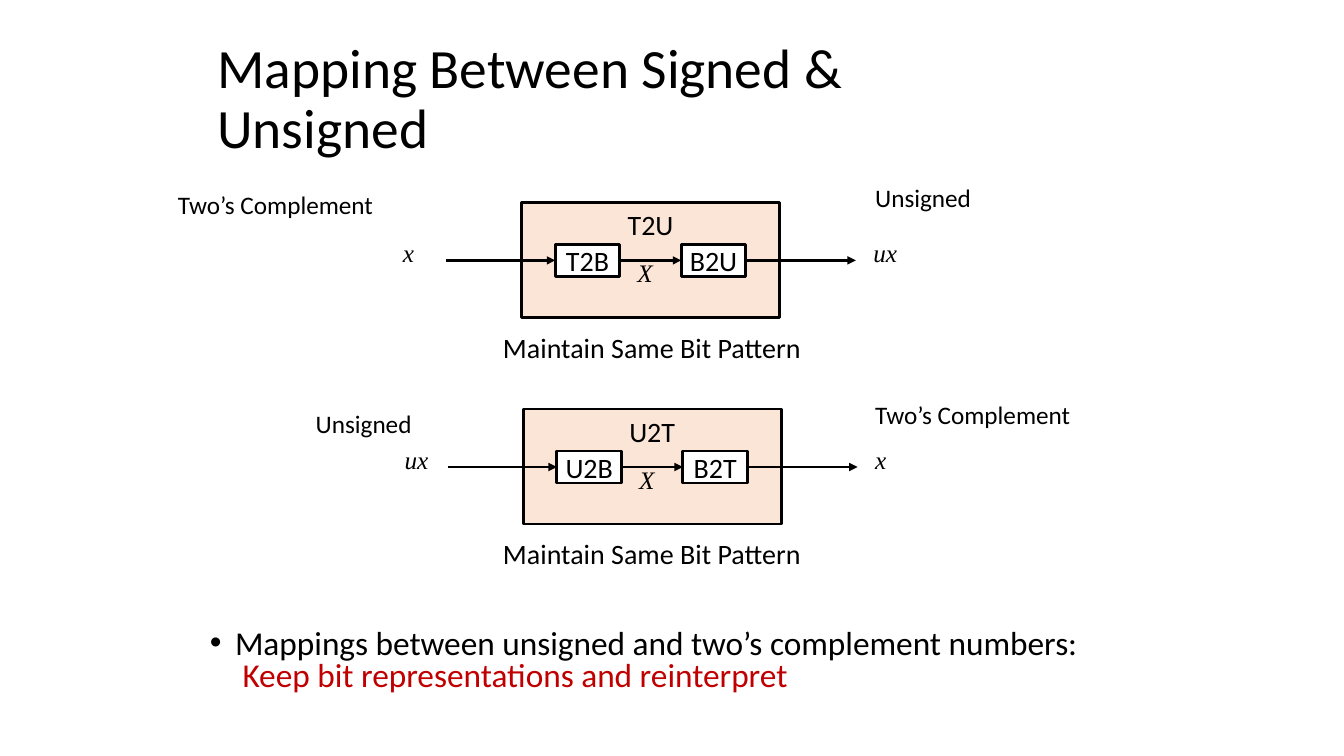
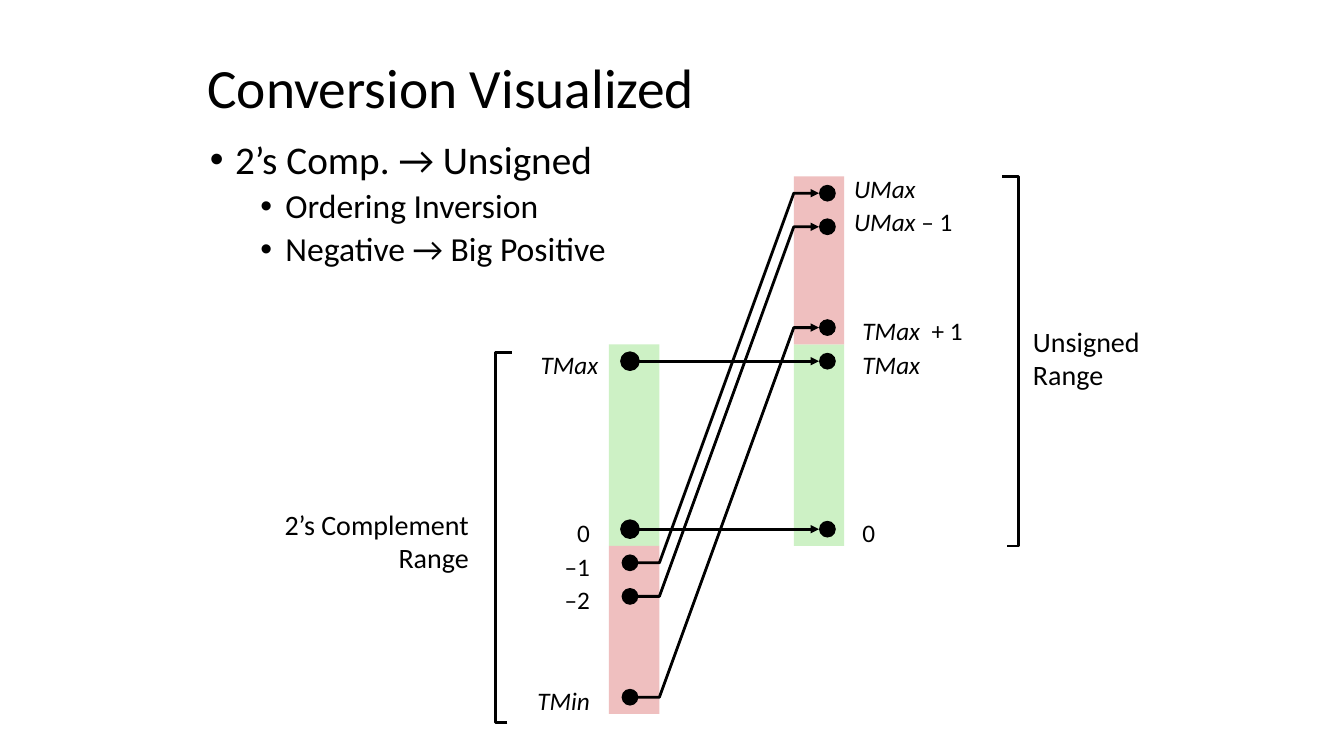
from dataclasses import dataclass

from lxml.etree import SubElement
from pptx import Presentation
from pptx.dml.color import RGBColor
from pptx.enum.shapes import MSO_CONNECTOR, MSO_SHAPE
from pptx.enum.text import MSO_ANCHOR, PP_ALIGN
from pptx.oxml.ns import qn
from pptx.shapes.autoshape import Shape
from pptx.shapes.connector import Connector
from pptx.slide import Slide
from pptx.text.text import TextFrame, _Paragraph
from pptx.util import Emu, Inches, Pt

# Shared grid: 160 columns by 90 rows of square cells
COLUMNS, ROWS = 160, 90
CELL = Inches(7.5) // ROWS

# Shared colours and fonts
BLACK = RGBColor(0x00, 0x00, 0x00)
WHITE = RGBColor(0xFF, 0xFF, 0xFF)
PEACH = RGBColor(0xFB, 0xE5, 0xD6)
GREEN = RGBColor(0xCD, 0xF1, 0xC5)
PINK = RGBColor(0xEF, 0xBF, 0xBF)
RED = RGBColor(0xC0, 0x00, 0x00)
SANS, SERIF = "Calibri", "Times New Roman"
TITLE_SIZE, LARGE, SMALL = 39.6, 20, 18
LINE_WIDTH = Pt(2)
LABEL_HEIGHT = 4.8

Point = tuple[float, float]


@dataclass(frozen=True)
class Area:
    left: float
    top: float
    width: float
    height: float = LABEL_HEIGHT

    def emu(self) -> list[Emu]:
        return [cells(n) for n in (self.left, self.top, self.width, self.height)]


@dataclass(frozen=True)
class Mapping:
    """A conversion diagram; captions are placed on the page grid."""
    left: float
    top: float
    name: str
    first: str
    second: str
    source: str
    result: str
    source_caption: str
    source_at: Point
    result_caption: str
    result_at: Point


@dataclass(frozen=True)
class Mark:
    """A dot on a number bar: step counts down from the top of the scale."""
    step: int
    name: str
    offset: str = ""
    shift_x: float = 0
    shift_y: float = 0
    outlined: bool = False


MAPPINGS = (
    Mapping(62.1, 24.1, "T2U", "T2B", "B2U", "x", "ux",
            "Two’s Complement", (20, 22), "Unsigned", (103, 21.1)),
    Mapping(62.3, 48.7, "U2T", "U2B", "B2T", "ux", "x",
            "Unsigned", (36.4, 48), "Two’s Complement", (103, 47)),
)

# Number scale: bars and dots stand on steps of two cells
SCALE_TOP, STEP = 21, 2
BAR_WIDTH, DOT = 6, 2
SIGNED_BAR, UNSIGNED_BAR = 72.5, 94.5
SIGNED_DOT, UNSIGNED_DOT = 74.5, 98.5
BARS = ((UNSIGNED_BAR, 10, 22, GREEN), (SIGNED_BAR, 10, 22, GREEN),
        (SIGNED_BAR, 22, 32, PINK), (UNSIGNED_BAR, 0, 10, PINK))
SIGNED_MARKS = (
    Mark(11, "TMax", shift_x=1, outlined=True),
    Mark(21, "", "0", outlined=True),
    Mark(23, "", "–1"), Mark(25, "", "–2"), Mark(31, "TMin"),
)
UNSIGNED_MARKS = (
    Mark(1, "UMax", shift_x=-1, shift_y=-1),
    Mark(3, "UMax", " – 1", shift_x=-1, shift_y=-1),
    Mark(9, "TMax ", " + 1"), Mark(11, "TMax"), Mark(21, "", "0"),
)
STRAIGHT_STEPS = (11, 21)
NEGATIVE_JUMPS = ((23, 1), (25, 3), (31, 9))
BRACKETS = (
    ((60.4, 86), (59, 86), (59, 42), (61, 42)),
    ((119.9, 65), (121.3, 65), (121.3, 21), (119.3, 21)),
)


def cells(count: float) -> Emu:
    return Emu(round(count * CELL))


def step_row(step: float) -> float:
    return SCALE_TOP + step * STEP


# Text
def style(para: _Paragraph, size: float, font: str = SANS, italic: bool = False,
          align: PP_ALIGN = PP_ALIGN.LEFT) -> None:
    para.alignment = align
    para.font.size = Pt(size)
    para.font.name = font
    para.font.italic = italic
    para.font.color.rgb = BLACK


def add_frame(page: Slide, area: Area) -> TextFrame:
    frame = page.shapes.add_textbox(*area.emu()).text_frame
    frame.word_wrap = True
    return frame


def add_label(page: Slide, area: Area, text: str, size: float = SMALL,
              font: str = SANS, italic: bool = False,
              align: PP_ALIGN = PP_ALIGN.LEFT) -> None:
    frame = add_frame(page, area)
    frame.text = text
    for para in frame.paragraphs:
        style(para, size, font, italic, align)


def add_title(page: Slide, area: Area, text: str) -> None:
    frame = add_frame(page, area)
    frame.vertical_anchor = MSO_ANCHOR.MIDDLE
    para = frame.paragraphs[0]
    para.add_run().text = text
    para.line_spacing = 0.9
    style(para, TITLE_SIZE)


def set_bullet(para: _Paragraph, text: str, size: float, level: int = 0,
               line_spacing: float = 0.9) -> None:
    properties = para._p.get_or_add_pPr()
    properties.set("marL", str(Inches(0.25 + 0.5 * level)))
    properties.set("indent", str(Inches(-0.25)))
    SubElement(properties, qn("a:buFont"), typeface="Arial")
    SubElement(properties, qn("a:buChar"), char="•")
    para.level = level
    para.line_spacing = line_spacing
    para.space_before = Pt(5 if level else 10)
    para.add_run().text = text
    style(para, size)


# Shapes and lines
def add_block(page: Slide, area: Area, fill: RGBColor, outlined: bool = False,
              kind: MSO_SHAPE = MSO_SHAPE.RECTANGLE) -> Shape:
    box = page.shapes.add_shape(kind, *area.emu())
    box.shadow.inherit = False
    box.fill.solid()
    box.fill.fore_color.rgb = fill
    if outlined:
        set_line(box)
    else:
        box.line.fill.background()
    return box


def add_named_box(page: Slide, area: Area, fill: RGBColor, text: str,
                  anchor: MSO_ANCHOR) -> Shape:
    box = add_block(page, area, fill, outlined=True)
    frame = box.text_frame
    frame.word_wrap = False
    frame.vertical_anchor = anchor
    frame.text = text
    style(frame.paragraphs[0], LARGE, align=PP_ALIGN.CENTER)
    return box


def set_line(shape: Shape | Connector, arrow: bool = False) -> None:
    shape.line.color.rgb = BLACK
    shape.line.width = LINE_WIDTH
    if arrow:
        SubElement(shape.line._get_or_add_ln(), qn("a:tailEnd"), type="triangle")


def add_arrow(page: Slide, start: Point, end: Point) -> Connector:
    ends = [cells(n) for n in (*start, *end)]
    arrow = page.shapes.add_connector(MSO_CONNECTOR.STRAIGHT, *ends)
    set_line(arrow, arrow=True)
    SubElement(arrow._element.spPr, qn("a:effectLst"))
    return arrow


def add_path(page: Slide, points: tuple[Point, ...], arrow: bool = False) -> None:
    start, *rest = [(cells(x), cells(y)) for x, y in points]
    builder = page.shapes.build_freeform(*start)
    builder.add_line_segments(rest, close=False)
    outline = builder.convert_to_shape()
    outline.shadow.inherit = False
    outline.fill.background()
    set_line(outline, arrow)


# Slide 1 diagram
def draw_mapping(page: Slide, mapping: Mapping) -> None:
    left, top = mapping.left, mapping.top
    axis = top + 6.9
    add_named_box(page, Area(left, top, 30.7, 13.7), PEACH, mapping.name, MSO_ANCHOR.TOP)
    first, second = (
        add_named_box(page, Area(left + offset, top + 5, 7.7, 3.8), WHITE, text,
                      MSO_ANCHOR.MIDDLE)
        for offset, text in ((4, mapping.first), (19, mapping.second)))

    arrow_in = add_arrow(page, (left - 9, axis), (left + 4, axis))
    arrow_in.end_connect(first, 1)
    arrow_between = add_arrow(page, (left + 11.7, axis), (left + 19, axis))
    arrow_between.begin_connect(first, 3)
    arrow_between.end_connect(second, 1)
    arrow_out = add_arrow(page, (left + 26.7, axis), (left + 39.8, axis))
    arrow_out.begin_connect(second, 3)

    for text, x, y in ((mapping.source, left - 15.3, top + 3.6),
                       (mapping.result, left + 40.7, top + 3.6),
                       ("X", left + 12.6, top + 6)):
        add_label(page, Area(x, y, 6), text, font=SERIF, italic=True)
    for text, place in ((mapping.source_caption, mapping.source_at),
                        (mapping.result_caption, mapping.result_at)):
        add_label(page, Area(*place, 28), text)
    add_label(page, Area(58.7, top + 14.6, 42), "Maintain Same Bit Pattern", LARGE)


def build_mapping_page(page: Slide) -> None:
    add_title(page, Area(24.7, 7, 99.6, 10), "Mapping Between Signed & Unsigned")
    for mapping in MAPPINGS:
        draw_mapping(page, mapping)
    para = add_frame(page, Area(23.8, 74.4, 113.6, 11.6)).paragraphs[0]
    set_bullet(para, "Mappings between unsigned and two’s complement numbers:",
               23.8, line_spacing=0.8)
    para.add_line_break()
    span = para.add_run()
    span.text = " Keep bit representations and reinterpret"
    span.font.color.rgb = RED


# Slide 2 number scale
def draw_mark(page: Slide, mark: Mark, dot_left: float, label_left: float,
              align: PP_ALIGN) -> None:
    row = step_row(mark.step)
    add_block(page, Area(dot_left - DOT / 2, row - DOT / 2, DOT, DOT), BLACK,
              mark.outlined, MSO_SHAPE.OVAL)
    area = Area(label_left + mark.shift_x, row - 2 + mark.shift_y, 18)
    para = add_frame(page, area).paragraphs[0]
    style(para, SMALL, align=align)
    for text, italic in ((mark.name, True), (mark.offset, False)):
        if text:
            span = para.add_run()
            span.text = text
            span.font.italic = italic


def build_conversion_page(page: Slide) -> None:
    add_title(page, Area(23.5, 7, 104.3, 7.6), "Conversion Visualized")
    for left, first, last, colour in BARS:
        add_block(page, Area(left, step_row(first), BAR_WIDTH, (last - first) * STEP), colour)
    for mark in SIGNED_MARKS:
        draw_mark(page, mark, SIGNED_DOT + 0.5, 53.4, PP_ALIGN.RIGHT)
    for mark in UNSIGNED_MARKS:
        draw_mark(page, mark, UNSIGNED_DOT, 101.5, PP_ALIGN.LEFT)

    # Arrows from signed to unsigned values
    start, end = SIGNED_DOT + DOT / 2, UNSIGNED_DOT - DOT / 2
    for step in STRAIGHT_STEPS:
        add_arrow(page, (start, step_row(step)), (end, step_row(step)))
    for low, high in NEGATIVE_JUMPS:
        add_path(page, ((start, step_row(low)), (SIGNED_BAR + BAR_WIDTH, step_row(low)),
                        (UNSIGNED_BAR, step_row(high)), (end, step_row(high))), arrow=True)

    # Range brackets
    for points in BRACKETS:
        add_path(page, points)
    add_label(page, Area(29, 59.8, 28, 9.2), "2’s Complement Range", LARGE,
              align=PP_ALIGN.RIGHT)
    add_label(page, Area(121.8, 38, 18, 9.2), "Unsigned\nRange", LARGE)

    # Bullets
    frame = add_frame(page, Area(23.8, 16.1, 54.6, 22.6))
    set_bullet(frame.paragraphs[0], "2’s Comp. → Unsigned", 28)
    for text in ("Ordering Inversion", "Negative → Big Positive"):
        set_bullet(frame.add_paragraph(), text, 24, level=1)


def main() -> None:
    deck = Presentation()
    deck.slide_width, deck.slide_height = cells(COLUMNS), cells(ROWS)
    for build in (build_mapping_page, build_conversion_page):
        build(deck.slides.add_slide(deck.slide_layouts[6]))
    deck.save("out.pptx")


if __name__ == "__main__":
    main()
